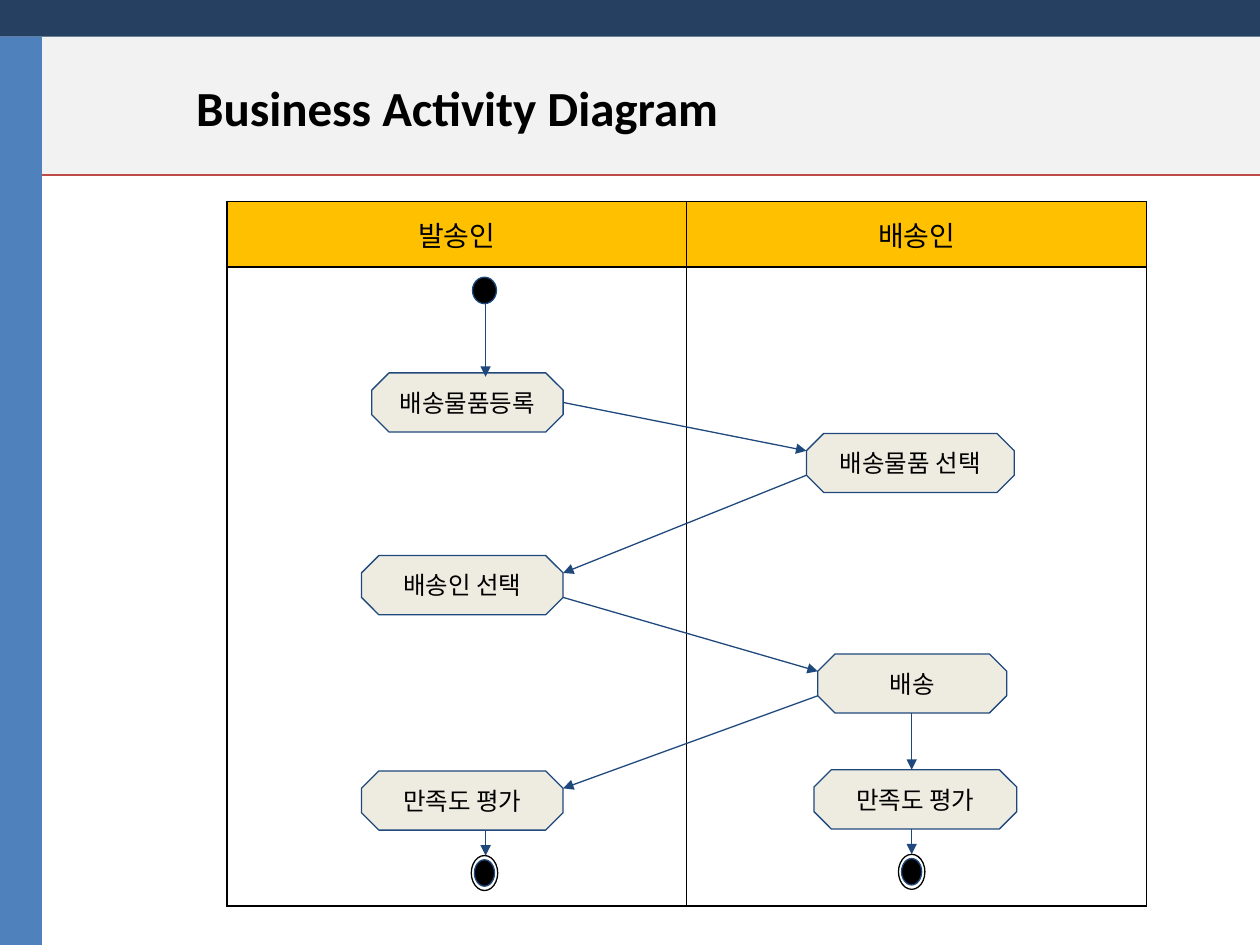
from lxml.etree import SubElement
from pptx import Presentation
from pptx.dml.color import RGBColor
from pptx.enum.shapes import MSO_CONNECTOR as CONN, MSO_SHAPE as SHAPE
from pptx.enum.text import MSO_ANCHOR as ANCHOR, PP_ALIGN as ALIGN
from pptx.oxml.ns import qn
from pptx.util import Pt

BLACK = RGBColor(0x00, 0x00, 0x00)
NAVY = RGBColor(0x25, 0x40, 0x61)
BLUE = RGBColor(0x4F, 0x81, 0xBD)
GREY = RGBColor(0xF2, 0xF2, 0xF2)
RED = RGBColor(0xBF, 0x4C, 0x48)
AMBER = RGBColor(0xFF, 0xC0, 0x00)
CREAM = RGBColor(0xEE, 0xEC, 0xE1)
INK = RGBColor(0x1F, 0x49, 0x7D)

STEP_H = 33.8
CUT = 0.293  # octagon corner, as a share of its height


def style_text(tf, size, font="Arial", bold=False, align=ALIGN.CENTER):
    p = tf.paragraphs[0]
    p.alignment = align
    for r in p.runs:
        r.font.size, r.font.name, r.font.bold = Pt(size), font, bold
        r.font.color.rgb = BLACK
    return p


def add_shape(s, kind, x, y, w, h, fill=None, line=None):
    sp = s.shapes.add_shape(kind, Pt(x), Pt(y), Pt(w), Pt(h))
    sp.shadow.inherit = False
    if fill is None:
        sp.fill.background()
    else:
        sp.fill.solid()
        sp.fill.fore_color.rgb = fill
    if line is None:
        sp.line.fill.background()
    else:
        sp.line.color.rgb = line
        sp.line.width = Pt(0.75)
    return sp


def add_line(s, start, end, color=INK, arrow=True):
    c = s.shapes.add_connector(CONN.STRAIGHT, *map(Pt, start + end))
    c.line.color.rgb = color
    c.line.width = Pt(0.75)
    if arrow:
        SubElement(c.line._get_or_add_ln(), qn("a:tailEnd"), type="triangle")
    SubElement(c._element.spPr, qn("a:effectLst"))


def add_title(s, text):
    tb = s.shapes.add_textbox(Pt(105), Pt(33), Pt(486), Pt(61))
    tf = tb.text_frame
    tf.word_wrap = True
    tf.vertical_anchor = ANCHOR.MIDDLE
    tf.text = text
    style_text(tf, 28, "Calibri", True, ALIGN.LEFT).line_spacing = 0.9


def add_borders(cell):
    tc_pr = cell._tc.get_or_add_tcPr()
    for i, side in enumerate(("lnL", "lnR", "lnT", "lnB")):
        ln = SubElement(tc_pr, qn(f"a:{side}"), w=str(Pt(1)))
        SubElement(SubElement(ln, qn("a:solidFill")), qn("a:srgbClr"), val=str(BLACK))
        tc_pr.remove(ln)
        tc_pr.insert(i, ln)  # borders come before the fill


def add_swimlanes(s, names):
    frame = s.shapes.add_table(2, len(names), Pt(129.6), Pt(115.2), Pt(525.6), Pt(402.6))
    table = frame.table
    table.first_row = table.horz_banding = False
    table.rows[0].height, table.rows[1].height = Pt(37.5), Pt(365.1)
    for col, name in enumerate(names):
        head, body = table.cell(0, col), table.cell(1, col)
        head.text = name
        style_text(head.text_frame, 16)
        head.margin_top = head.margin_bottom = Pt(7.2)
        head.margin_left = head.margin_right = Pt(5)
        head.fill.solid()
        head.fill.fore_color.rgb = AMBER
        body.fill.background()
        add_borders(head)
        add_borders(body)


def add_step(s, text, x, y, w):
    sp = add_shape(s, SHAPE.OCTAGON, x, y, w, STEP_H, CREAM, INK)
    sp.adjustments[0] = CUT
    tf = sp.text_frame
    tf.margin_left = tf.margin_right = tf.margin_top = tf.margin_bottom = Pt(7.2)
    tf.vertical_anchor = ANCHOR.MIDDLE
    tf.text = text
    style_text(tf, 14)


def add_end(s, x, y):
    add_shape(s, SHAPE.FLOWCHART_CONNECTOR, x + 1.8, y + 2.4, 11.5, 15.1, BLACK, INK)
    add_shape(s, SHAPE.OVAL, x, y, 15.1, 20, line=BLACK)


def anchor(step, side, at):
    """Point on a step: left or right at its upper or lower corner or middle."""
    _, x, y, w = step
    share = {"upper": CUT, "middle": 0.5, "lower": 1 - CUT}[at]
    return x + (w if side == "right" else 0), y + STEP_H * share


def main():
    prs = Presentation()
    prs.slide_width, prs.slide_height = Pt(720), Pt(540)
    s = prs.slides.add_slide(prs.slide_layouts[6])

    # Page frame and title
    add_shape(s, SHAPE.RECTANGLE, 0, 0, 720, 100, GREY)
    add_shape(s, SHAPE.RECTANGLE, 0, 0, 720, 20.9, NAVY)
    add_title(s, "Business Activity Diagram")
    add_line(s, (24, 100), (720, 100), RED, arrow=False)
    add_shape(s, SHAPE.RECTANGLE, 0, 20.9, 24, 519.1, BLUE)

    # Swimlanes and steps: text, left, top, width
    add_swimlanes(s, ["발송인", "배송인"])
    register = ("배송물품등록", 212.4, 213.1, 109.4)
    pick_item = ("배송물품 선택", 460.8, 247.7, 118.8)
    pick_courier = ("배송인 선택", 206.6, 317.5, 115.2)
    deliver = ("배송", 467.3, 373.7, 108)
    rate_sender = ("만족도 평가", 206.6, 440.6, 115.2)
    rate_courier = ("만족도 평가", 465.1, 439.9, 115.9)
    for step in (register, pick_item, pick_courier, deliver, rate_sender, rate_courier):
        add_step(s, *step)

    # Start and end nodes
    add_shape(s, SHAPE.FLOWCHART_CONNECTOR, 270, 158.4, 13.7, 15.1, BLACK, INK)
    add_end(s, 269.3, 488.9)
    add_end(s, 513.4, 488.2)

    # Flow between the lanes
    for src, at, dst in ((register, "middle", pick_item), (pick_courier, "lower", deliver)):
        add_line(s, anchor(src, "right", at), anchor(dst, "left", "upper"))
    for src, dst in ((pick_item, pick_courier), (deliver, rate_sender)):
        add_line(s, anchor(src, "left", "lower"), anchor(dst, "right", "upper"))

    # Flow down each lane: centre, top, bottom
    for x, top, bottom in ((277.5, 173.5, 215.3), (277.5, 474.4, 488.9),
                           (521, 407.5, 439.9), (521, 473.7, 488.2)):
        add_line(s, (x, top), (x, bottom))

    prs.save("out.pptx")


if __name__ == "__main__":
    main()
